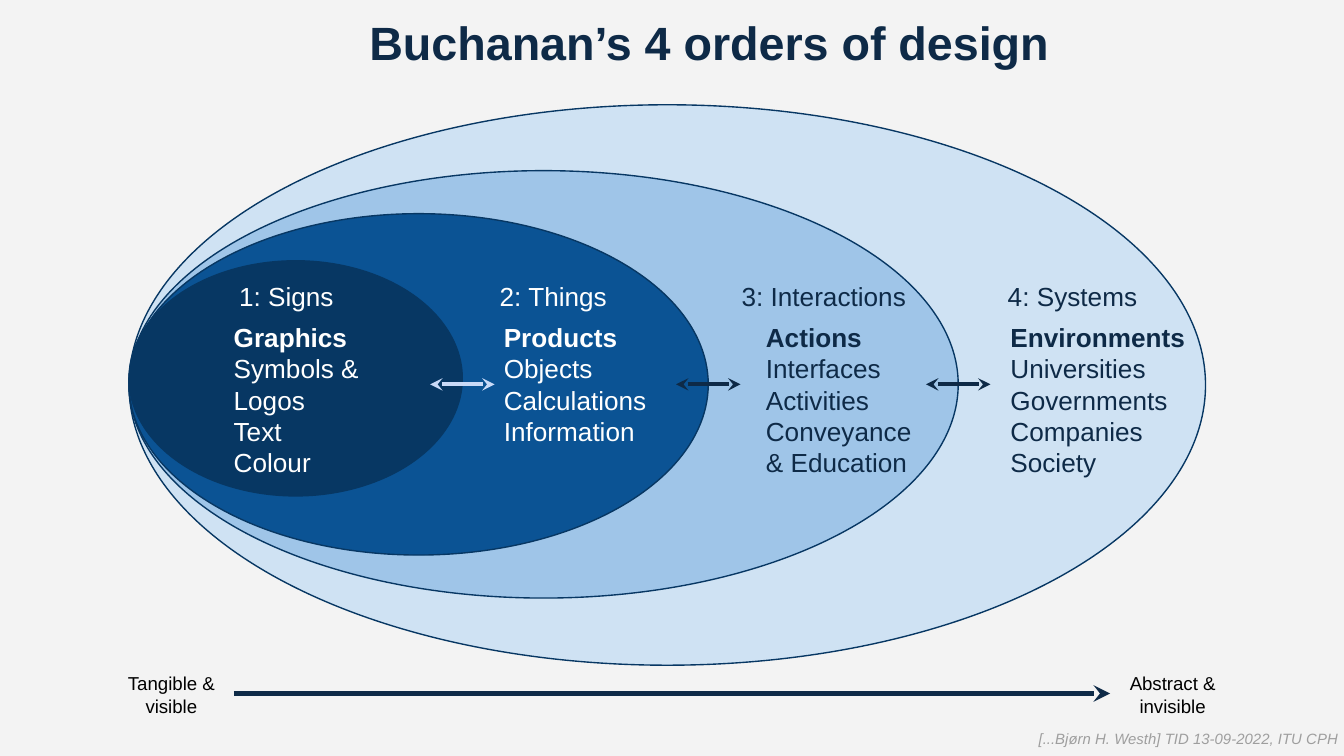
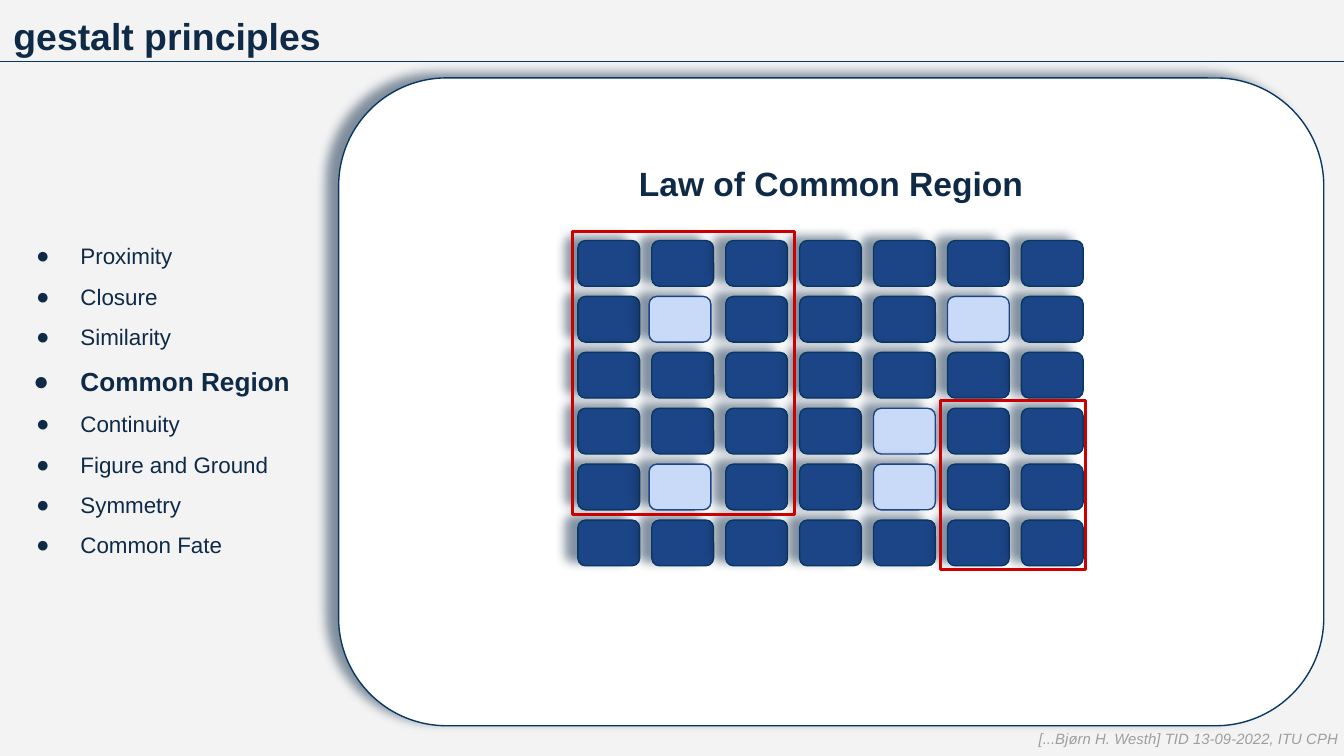
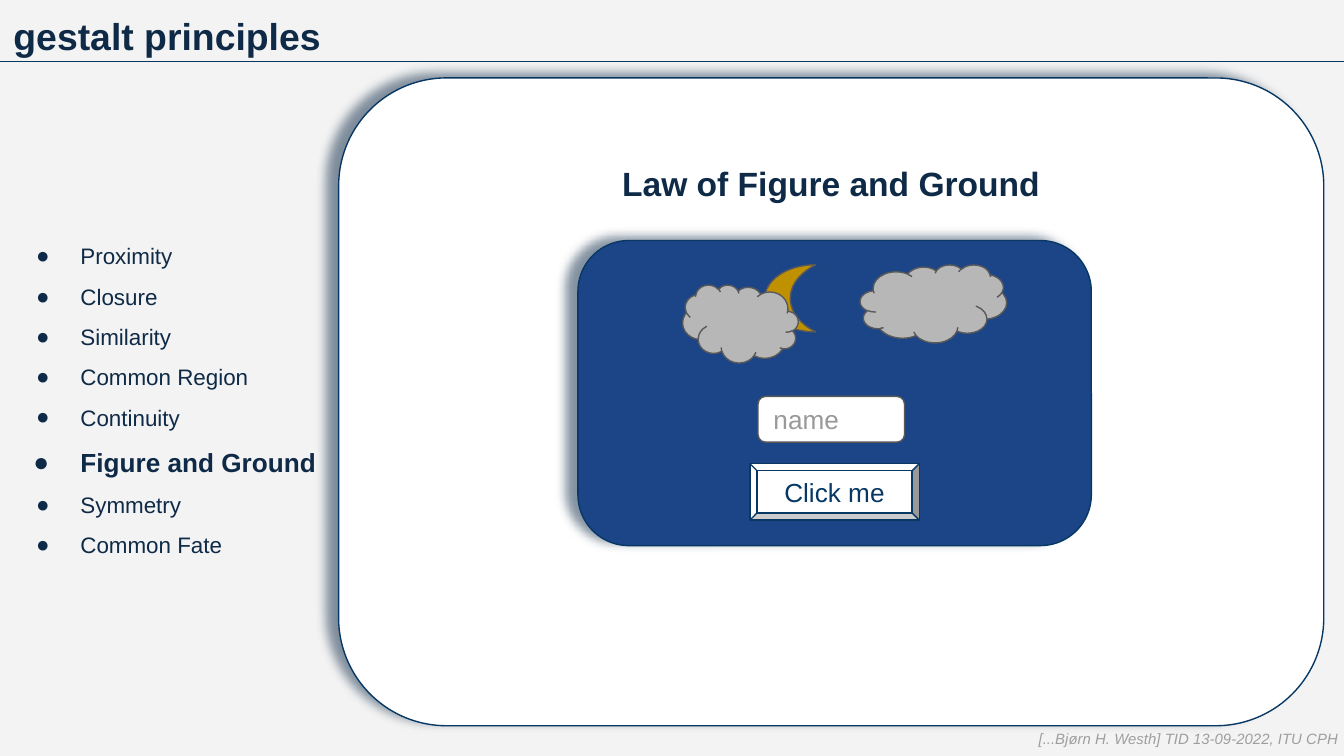
from lxml import etree
from pptx import Presentation
from pptx.dml.color import RGBColor
from pptx.enum.shapes import MSO_CONNECTOR, MSO_SHAPE
from pptx.enum.text import MSO_ANCHOR, MSO_AUTO_SIZE, PP_ALIGN
from pptx.oxml.ns import qn
from pptx.util import Inches, Pt

STRAIGHT = MSO_CONNECTOR.STRAIGHT
OVAL, RECTANGLE, ROUNDED = MSO_SHAPE.OVAL, MSO_SHAPE.RECTANGLE, MSO_SHAPE.ROUNDED_RECTANGLE
CLOUD, MOON, BEVEL = MSO_SHAPE.CLOUD, MSO_SHAPE.MOON, MSO_SHAPE.BEVEL
TOP, MIDDLE = MSO_ANCHOR.TOP, MSO_ANCHOR.MIDDLE
LEFT, CENTER = PP_ALIGN.LEFT, PP_ALIGN.CENTER
NO_FIT, GROW = MSO_AUTO_SIZE.NONE, MSO_AUTO_SIZE.SHAPE_TO_FIT_TEXT

FONT = "Arial"
PAPER = RGBColor(0xF3, 0xF3, 0xF3)
WHITE = RGBColor(0xFF, 0xFF, 0xFF)
BLACK = RGBColor(0x00, 0x00, 0x00)
NAVY = RGBColor(0x0E, 0x2A, 0x47)
DEEP = RGBColor(0x07, 0x37, 0x63)
OCEAN = RGBColor(0x0B, 0x53, 0x94)
SKY = RGBColor(0x9F, 0xC5, 0xE8)
MIST = RGBColor(0xCF, 0xE2, 0xF3)
ROYAL = RGBColor(0x1C, 0x45, 0x87)
PALE = RGBColor(0xC9, 0xDA, 0xF8)
RED = RGBColor(0xCC, 0x00, 0x00)
GOLD = RGBColor(0xBF, 0x90, 0x00)
CLOUD_GRAY = RGBColor(0xB7, 0xB7, 0xB7)
OUTLINE_GRAY = RGBColor(0x59, 0x59, 0x59)
HINT_GRAY = RGBColor(0x99, 0x99, 0x99)
FOOTER_GRAY = RGBColor(0x9E, 0x9E, 0x9E)

# Content
FOOTER = "[...Bjørn H. Westh] TID 13-09-2022, ITU CPH"
ORDERS_TITLE = "Buchanan’s 4 orders of design"
GESTALT_TITLE = "gestalt principles"

ELLIPSES = [  # top, width, height, fill; outermost first
    (0.78, 8.01, 4.17, MIST),
    (1.27, 6.17, 3.18, SKY),
    (1.59, 4.31, 2.54, OCEAN),
    (1.94, 2.48, 1.75, DEEP),
]
ORDERS = [  # heading, its left and width; list, its left, width and height; colour
    ("1: Signs", 1.68, 0.98,
     ["Graphics", "Symbols & Logos", "Text", "Colour"], 1.64, 1.29, 1.38, WHITE),
    ("2: Things", 3.62, 1.16,
     ["Products", "Objects", "Calculations", "Information"], 3.65, 1.29, 1.14, WHITE),
    ("3: Interactions", 5.42, 1.63,
     ["Actions", "Interfaces", "Activities", "Conveyance & Education"],
     5.6, 1.42, 1.38, NAVY),
    ("4: Systems", 7.4, 1.63,
     ["Environments", "Universities", "Governments", "Companies", "Society"],
     7.42, 1.6, 1.38, NAVY),
]
ORDER_ARROWS = [(3.2, PALE), (5.03, NAVY), (6.89, NAVY)]
SCALE_ENDS = [("Tangible & visible", 0.84), ("Abstract & invisible", 8.29)]

PRINCIPLES = ["Proximity", "Closure", "Similarity", "Common Region", "Continuity",
              "Figure and Ground", "Symmetry", "Common Fate"]

TILE_ROWS, TILE_COLUMNS = 6, 7
LIGHT_TILES = {  # (row, column): nudge to the left
    (3, 4): 0, (4, 1): 0.02, (1, 5): 0, (1, 1): 0.02, (4, 4): 0,
}
REGIONS = [(4.26, 1.72, 1.65, 2.11), (7, 2.98, 1.08, 1.26)]


# Shared helpers
def style_paragraph(para, size, color, bold=False, italic=False, align=LEFT):
    para.alignment = align
    for span in para.runs:
        font = span.font
        font.name, font.size, font.color.rgb = FONT, Pt(size), color
        font.bold, font.italic = bold, italic


def prepare_frame(frame, anchor=TOP, fit=NO_FIT):
    frame.word_wrap = True
    frame.auto_size = fit
    frame.vertical_anchor = anchor
    frame.margin_left = frame.margin_right = Inches(0.1)
    frame.margin_top = frame.margin_bottom = Inches(0.1)


def add_text(page, lines, place, size, color, bold_first=False, **style):
    box = page.shapes.add_textbox(*map(Inches, place))
    frame = box.text_frame
    prepare_frame(frame, fit=GROW)
    frame.text = "\n".join(lines)
    for number, para in enumerate(frame.paragraphs):
        style_paragraph(para, size, color, bold=bold_first and number == 0, **style)


def add_shape(page, kind, place, fill=None, line=None, width=0.75, shadow=False):
    shape = page.shapes.add_shape(kind, *map(Inches, place))
    shape.shadow.inherit = False
    if fill is None:
        shape.fill.background()
    else:
        shape.fill.solid()
        shape.fill.fore_color.rgb = fill
    if line is None:
        shape.line.fill.background()
    else:
        shape.line.color.rgb = line
        shape.line.width = Pt(width)
    if shadow:
        effects = shape.element.spPr.find(qn("a:effectLst"))
        outer = etree.SubElement(effects, qn("a:outerShdw"), blurRad=str(Pt(5.6)),
                                 dist=str(Pt(6.8)), dir=str(199 * 60000),
                                 algn="bl", rotWithShape="0")
        tint = etree.SubElement(outer, qn("a:srgbClr"), val=str(NAVY))
        etree.SubElement(tint, qn("a:alpha"), val="51000")
    return shape


def label_shape(shape, text, size, color, anchor=MIDDLE, **style):
    prepare_frame(shape.text_frame, anchor)
    shape.text_frame.text = text
    para = shape.text_frame.paragraphs[0]
    style_paragraph(para, size, color, **style)
    return para


def add_line(page, left, right, y, color, width, arrowheads=()):
    line = page.shapes.add_connector(
        STRAIGHT, Inches(left), Inches(y), Inches(right), Inches(y))
    line.line.color.rgb = color
    line.line.width = Pt(width)
    properties = line.element.spPr
    for end in arrowheads:
        etree.SubElement(properties.find(qn("a:ln")), qn(end), type="stealth")
    etree.SubElement(properties, qn("a:effectLst"))


def start_page(deck, title, place, size, align=LEFT):
    page = deck.slides.add_slide(deck.slide_layouts[5])
    heading = page.shapes.title
    heading.left, heading.top, heading.width, heading.height = map(Inches, place)
    prepare_frame(heading.text_frame)
    heading.text_frame.text = title
    style_paragraph(heading.text_frame.paragraphs[0], size, NAVY, bold=True, align=align)
    return page


def add_footer(page):
    add_text(page, [FOOTER], (7.63, 5.36, 2.47, 0.34), 8, FOOTER_GRAY, italic=True)


def add_bullet(para, indent):
    properties = para._p.get_or_add_pPr()
    properties.set("marL", str(Inches(0.5)))
    properties.set("indent", str(-Inches(indent)))
    color = etree.SubElement(properties, qn("a:buClr"))
    etree.SubElement(color, qn("a:srgbClr"), val=str(NAVY))
    etree.SubElement(properties, qn("a:buFont"), typeface=FONT)
    etree.SubElement(properties, qn("a:buChar"), char="●")


def start_gestalt_page(deck, current):
    page = start_page(deck, GESTALT_TITLE, (0, 0, 10, 0.5), 20)

    # List of principles, the current one emphasised
    sidebar = add_shape(page, RECTANGLE, (0, 0.5, 2.52, 4.86), PAPER)
    prepare_frame(sidebar.text_frame, MIDDLE)
    sidebar.text_frame.text = "\n".join(PRINCIPLES)
    for name, para in zip(PRINCIPLES, sidebar.text_frame.paragraphs):
        active = name == current
        add_bullet(para, 0.35 if active else 0.33)
        para.line_spacing = 1.5
        style_paragraph(para, 14 if active else 12, NAVY, bold=active)

    # Panel for the example
    panel = add_shape(page, ROUNDED, (2.52, 0.58, 7.33, 4.82), WHITE, DEEP, shadow=True)
    law = label_shape(panel, f"Law of {current}", 18, NAVY, TOP, bold=True, align=CENTER)
    law.line_spacing = 2.0
    add_line(page, 0, 10, 0.46, DEEP, 0.75)
    return page


# Slides
def build_orders(deck):
    page = start_page(deck, ORDERS_TITLE, (1.98, 0, 6.59, 0.67), 25, CENTER)

    # Nested ellipses share their left edge
    for top, width, height, fill in ELLIPSES:
        add_shape(page, OVAL, (0.96, top, width, height), fill, DEEP)

    # Scale from tangible to abstract
    add_line(page, 1.74, 8.26, 5.16, NAVY, 3, ["a:tailEnd"])
    for text, left in SCALE_ENDS:
        add_text(page, [text], (left, 4.9, 0.87, 0.54), 10, BLACK, align=CENTER)

    # The four orders and the arrows between them
    for heading, left, width, items, list_left, list_width, list_height, color in ORDERS:
        add_text(page, [heading], (left, 1.99, width, 0.44), 14, color)
        add_text(page, items, (list_left, 2.29, list_width, list_height), 14, color,
                 bold_first=True)
    for left, color in ORDER_ARROWS:
        add_line(page, left, left + 0.48, 2.86, color, 2.25, ["a:headEnd", "a:tailEnd"])
    add_footer(page)


def build_common_region(deck):
    page = start_gestalt_page(deck, "Common Region")

    def add_tile(row, column, fill, line, nudge=0):
        pitch = (3.87 - 1.79) / (TILE_ROWS - 1)
        place = (4.3 + 0.55 * column - nudge, 1.79 + pitch * row, 0.46, 0.34)
        add_shape(page, ROUNDED, place, fill, line, shadow=True)

    # Dark tiles column by column, then the light ones
    for column in range(TILE_COLUMNS):
        for row in range(TILE_ROWS):
            if (row, column) not in LIGHT_TILES:
                add_tile(row, column, ROYAL, DEEP)
    for (row, column), nudge in LIGHT_TILES.items():
        add_tile(row, column, PALE, ROYAL, nudge)

    for place in REGIONS:
        add_shape(page, RECTANGLE, place, line=RED, width=1.5)
    add_footer(page)


def build_figure_and_ground(deck):
    page = start_gestalt_page(deck, "Figure and Ground")

    # Night sky
    add_shape(page, ROUNDED, (4.3, 1.79, 3.82, 2.27), ROYAL, DEEP, shadow=True)
    add_shape(page, CLOUD, (6.4, 1.97, 1.09, 0.58), CLOUD_GRAY, OUTLINE_GRAY)
    add_shape(page, MOON, (5.69, 1.97, 0.38, 0.5), GOLD, OUTLINE_GRAY)
    near_cloud = add_shape(page, CLOUD, (5.08, 2.12, 0.86, 0.58), CLOUD_GRAY, OUTLINE_GRAY)
    near_cloud.element.spPr.find(qn("a:xfrm")).set("flipH", "1")

    # Form
    button = add_shape(page, BEVEL, (5.58, 3.45, 1.26, 0.42), WHITE, DEEP)
    label_shape(button, "Click me", 14, DEEP, align=CENTER)
    field = add_shape(page, ROUNDED, (5.64, 2.95, 1.09, 0.34), WHITE, OUTLINE_GRAY)
    label_shape(field, "name", 14, HINT_GRAY)
    add_footer(page)


def main():
    deck = Presentation()
    deck.slide_width = Inches(10)
    deck.slide_height = deck.slide_width * 9 // 16
    background = deck.slide_master.background.fill
    background.solid()
    background.fore_color.rgb = PAPER
    build_orders(deck)
    build_common_region(deck)
    build_figure_and_ground(deck)
    deck.save("out.pptx")


if __name__ == "__main__":
    main()
